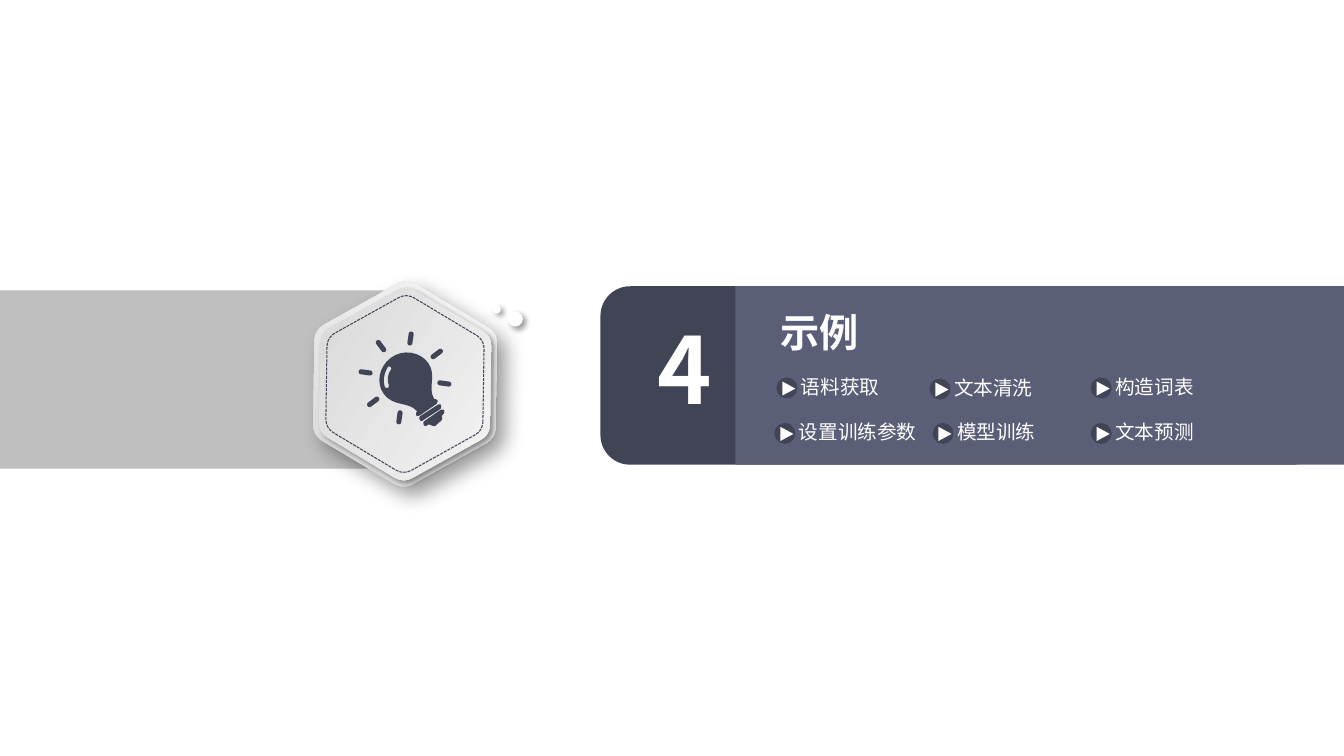
from math import cos, radians, sin

from lxml import etree
from pptx import Presentation
from pptx import util as u
from pptx.dml.color import RGBColor
from pptx.enum import dml, shapes, text
from pptx.oxml.ns import qn

WHITE = RGBColor(0xFF, 0xFF, 0xFF)
BAND = RGBColor(0xBF, 0xBF, 0xBF)
DARK = RGBColor(0x41, 0x44, 0x55)
SLATE = RGBColor(0x5B, 0x5E, 0x77)
SILVER = RGBColor(0xD3, 0xD3, 0xD3)
PALE = RGBColor(0xF9, 0xF9, 0xF9)
FONT = "Noto Sans CJK SC"
FRAME = dict(word_wrap=True, auto_size=text.MSO_AUTO_SIZE.NONE,
             vertical_anchor=text.MSO_ANCHOR.TOP)
MARGINS = ("margin_left", "margin_top", "margin_right", "margin_bottom")
TILT = 30.9
TOPICS = [("语料获取", 1.76, 0.92), ("文本清洗", 3.28, 0.93), ("构造词表", 4.88, 0.92),
          ("设置训练参数", 1.74, 1.37), ("模型训练", 3.31, 1.37), ("文本预测", 4.88, 1.37)]
BULB = [
    [(0.81, 0.69), (0.82, 0.70, 0.81, 0.72, 0.80, 0.73), (0.64, 0.84),
     (0.62, 0.85, 0.61, 0.85, 0.60, 0.84), (0.60, 0.83, 0.60, 0.81, 0.61, 0.80),
     (0.52, 0.70, 0.38, 0.76, 0.28, 0.63), (0.20, 0.52, 0.23, 0.36, 0.35, 0.27),
     (0.47, 0.18, 0.64, 0.21, 0.72, 0.32), (0.81, 0.45, 0.71, 0.56, 0.78, 0.68),
     (0.79, 0.68, 0.80, 0.68, 0.81, 0.69)],
    [(0.34, 0.36), (0.33, 0.35, 0.32, 0.36, 0.32, 0.36),
     (0.28, 0.43, 0.27, 0.50, 0.29, 0.56), (0.30, 0.57, 0.31, 0.57, 0.32, 0.57),
     (0.33, 0.56, 0.33, 0.55, 0.33, 0.54), (0.31, 0.49, 0.32, 0.43, 0.35, 0.39),
     (0.36, 0.38, 0.35, 0.36, 0.34, 0.36)],
    [(0.85, 0.74), (0.85, 0.75, 0.85, 0.77, 0.84, 0.78), (0.67, 0.89),
     (0.66, 0.90, 0.65, 0.90, 0.64, 0.89), (0.63, 0.88, 0.63, 0.86, 0.64, 0.85),
     (0.81, 0.74), (0.82, 0.73, 0.84, 0.73, 0.85, 0.74)],
    [(0.84, 0.79), (0.68, 0.90), (0.67, 0.91, 0.67, 0.93, 0.68, 0.94),
     (0.69, 0.95, 0.70, 0.95, 0.71, 0.94), (0.72, 0.93, 0.73, 0.93, 0.75, 0.94),
     (0.77, 0.95, 0.79, 0.95, 0.80, 0.94), (0.83, 0.91),
     (0.85, 0.90, 0.86, 0.88, 0.86, 0.87), (0.85, 0.85, 0.86, 0.84, 0.87, 0.83),
     (0.88, 0.82, 0.88, 0.81, 0.88, 0.80), (0.88, 0.78, 0.86, 0.78, 0.84, 0.79)],
]


def paint(shape, fill=None, line=None, width=1):
    """Give a shape a plain fill and outline without a shadow."""
    shape.shadow.inherit = False
    if fill is None:
        shape.fill.background()
    else:
        shape.fill.solid()
        shape.fill.fore_color.rgb = fill
    if line is None:
        shape.line.fill.background()
    else:
        shape.line.color.rgb = line
        shape.line.width = u.Pt(width)
    return shape


def add_block(slide, kind, box, fill, **outline):
    """Add a painted preset shape in a box given in inches."""
    shape = slide.shapes.add_shape(kind, *map(u.Inches, box))
    return paint(shape, fill, **outline)


def cast_shadow(shape, blur, distance):
    """Add a soft black shadow falling to the lower right."""
    effects = shape.element.spPr.find(qn("a:effectLst"))
    shadow = etree.SubElement(effects, qn("a:outerShdw"), blurRad=str(u.Pt(blur)),
                              dist=str(u.Pt(distance)), dir="2700000",
                              algn="tl", rotWithShape="0")
    color = etree.SubElement(shadow, qn("a:srgbClr"), val="000000")
    etree.SubElement(color, qn("a:alpha"), val="40000")


def write(shape, words, size, bold=False, align=text.PP_ALIGN.LEFT, margins=(0, 0, 0, 0)):
    """Write one formatted line of white text into a shape."""
    frame = shape.text_frame
    insets = dict(zip(MARGINS, map(u.Inches, margins)))
    for name, value in {**FRAME, **insets}.items():
        setattr(frame, name, value)
    paragraph = frame.paragraphs[0]
    paragraph.alignment = align
    run = paragraph.add_run()
    run.text = words
    for name, value in dict(name=FONT, size=u.Pt(size), bold=bold).items():
        setattr(run.font, name, value)
    run.font.color.rgb = WHITE
    latin = run.font._element.find(qn("a:latin"))
    latin.addnext(latin.makeelement(qn("a:ea"), {"typeface": FONT}))


def add_outline(slide, contours):
    """Build one freeform from closed contours in inches."""
    contours = [[(u.Inches(x), u.Inches(y)) for x, y in points] for points in contours]
    builder = slide.shapes.build_freeform(*contours[0][0])
    for index, points in enumerate(contours):
        if index:
            builder.move_to(*points[0])
        builder.add_line_segments(points[1:], close=True)
    return builder.convert_to_shape()


def bezier(points, steps=8):
    """Return evenly sampled points on a Bezier curve of any degree."""
    curve = []
    for step in range(steps + 1):
        t, level = step / steps, points
        while len(level) > 1:
            level = [(a + (c - a) * t, b + (d - b) * t)
                     for (a, b), (c, d) in zip(level, level[1:])]
        curve += level
    return curve


def add_hexagon(slide, x, y, radius, cut=0.107):
    """Add a tilted hexagon with rounded corners around a centre."""
    corners = [(x + radius * cos(radians(60 * k)), y + radius * sin(radians(60 * k)))
               for k in range(6)]
    points = []
    for k, (a, b) in enumerate(corners):
        before, after = corners[k - 1], corners[(k + 1) % 6]
        start, end = [(a + (c - a) * cut, b + (d - b) * cut) for c, d in (before, after)]
        points += bezier([start, (a, b), end])
    hexagon = paint(add_outline(slide, [points]))
    hexagon.rotation = TILT
    return hexagon


def ray(x, y, angle, inner=0.35, outer=0.44, half=0.025):
    """Return the contour of one round-ended ray around a centre."""
    dx, dy = cos(radians(angle)), sin(radians(angle))
    return [(x + reach * dx + half * cos(radians(angle + turn + step)),
             y + reach * dy + half * sin(radians(angle + turn + step)))
            for reach, turn in ((outer, -90), (inner, 90))
            for step in range(0, 181, 30)]


def add_bulb(slide, left, top):
    """Draw the light bulb and its seven rays as one outline."""
    contours = []
    for start, *parts in BULB:
        points = [start]
        for part in parts:
            pairs = list(zip(part[::2], part[1::2]))
            points += bezier([points[-1]] + pairs)[1:]
        contours.append([(left + x, top + y) for x, y in points])
    contours += [ray(left + 0.49, top + 0.47, 8 + 45 * k) for k in range(2, 9)]
    paint(add_outline(slide, contours), DARK)


def add_badge(slide, left, top, width, height):
    """Draw the grey band, hexagon badge and two dots."""
    add_block(slide, shapes.MSO_SHAPE.RECTANGLE, (left, top, width, height), BAND)
    x, y = left + width - 0.05, top + 0.93
    for radius, angle, blur, distance in ((1.045, 90, 15, 9), (0.98, 0, 4, 3)):
        hexagon = add_hexagon(slide, x, y, radius)
        hexagon.fill.gradient()
        hexagon.fill.gradient_angle = angle
        for stop, color in zip(hexagon.fill.gradient_stops, (SILVER, PALE)):
            stop.color.rgb = color
        cast_shadow(hexagon, blur, distance)
    seam = add_hexagon(slide, x, y, 0.9)
    seam.line.color.rgb = DARK
    seam.line.width = u.Pt(0.75)
    seam.line.dash_style = dml.MSO_LINE.SQUARE_DOT
    for dx, dy, size in ((0.87, -0.78, 0.08), (1.02, -0.72, 0.15)):
        dot = add_block(slide, shapes.MSO_SHAPE.OVAL, (x + dx, y + dy, size, size), WHITE)
        cast_shadow(dot, 4, 3)
    add_bulb(slide, x - 0.49, y - 0.53)


def add_topic(slide, words, left, top):
    """Add one topic label behind a round arrow marker."""
    add_block(slide, shapes.MSO_SHAPE.OVAL, (left, top, 0.18, 0.18), DARK, line=DARK, width=2)
    arrow = add_block(slide, shapes.MSO_SHAPE.ISOSCELES_TRIANGLE,
                      (left + 0.04, top + 0.03, 0.14, 0.13), WHITE)
    arrow.rotation = 90
    box = (left + 0.23, top - 0.04, 1.34, 0.24)
    write(slide.shapes.add_textbox(*map(u.Inches, box)), words, 14)


def add_section_panel(slide, left, top, width, height):
    """Draw the numbered panel with the section title and topics."""
    add_block(slide, shapes.MSO_SHAPE.ROUNDED_RECTANGLE, (left, top, width - 0.21, height), DARK)
    add_block(slide, shapes.MSO_SHAPE.RECTANGLE,
              (left + 1.34, top, width - 1.34, height), SLATE)
    number = slide.shapes.add_textbox(*map(u.Inches, (left + 0.44, top + 0.21, 0.8, 1.21)))
    write(number, "4", 66, True, text.PP_ALIGN.CENTER, (0, 0.05, 0, 0.05))
    title = slide.shapes.title
    place = dict(left=left + 1.72, top=top + 0.18, width=2.99, height=0.55)
    for name, value in place.items():
        setattr(title, name, u.Inches(value))
    write(title, "示例", 28, True, margins=(0.07, 0.04, 0.07, 0.04))
    title.element.getparent().append(title.element)
    for words, dx, dy in TOPICS:
        add_topic(slide, words, left + dx, top + dy)


def main():
    """Build and save the section slide."""
    presentation = Presentation()
    presentation.slide_width = u.Inches(13.34)
    presentation.slide_height = u.Inches(7.5)
    slide = presentation.slides.add_slide(presentation.slide_layouts[5])
    add_badge(slide, 0, 2.88, 4.07, 1.77)
    add_section_panel(slide, 5.96, 2.84, 7.38, 1.77)
    presentation.save("out.pptx")


if __name__ == "__main__":
    main()
